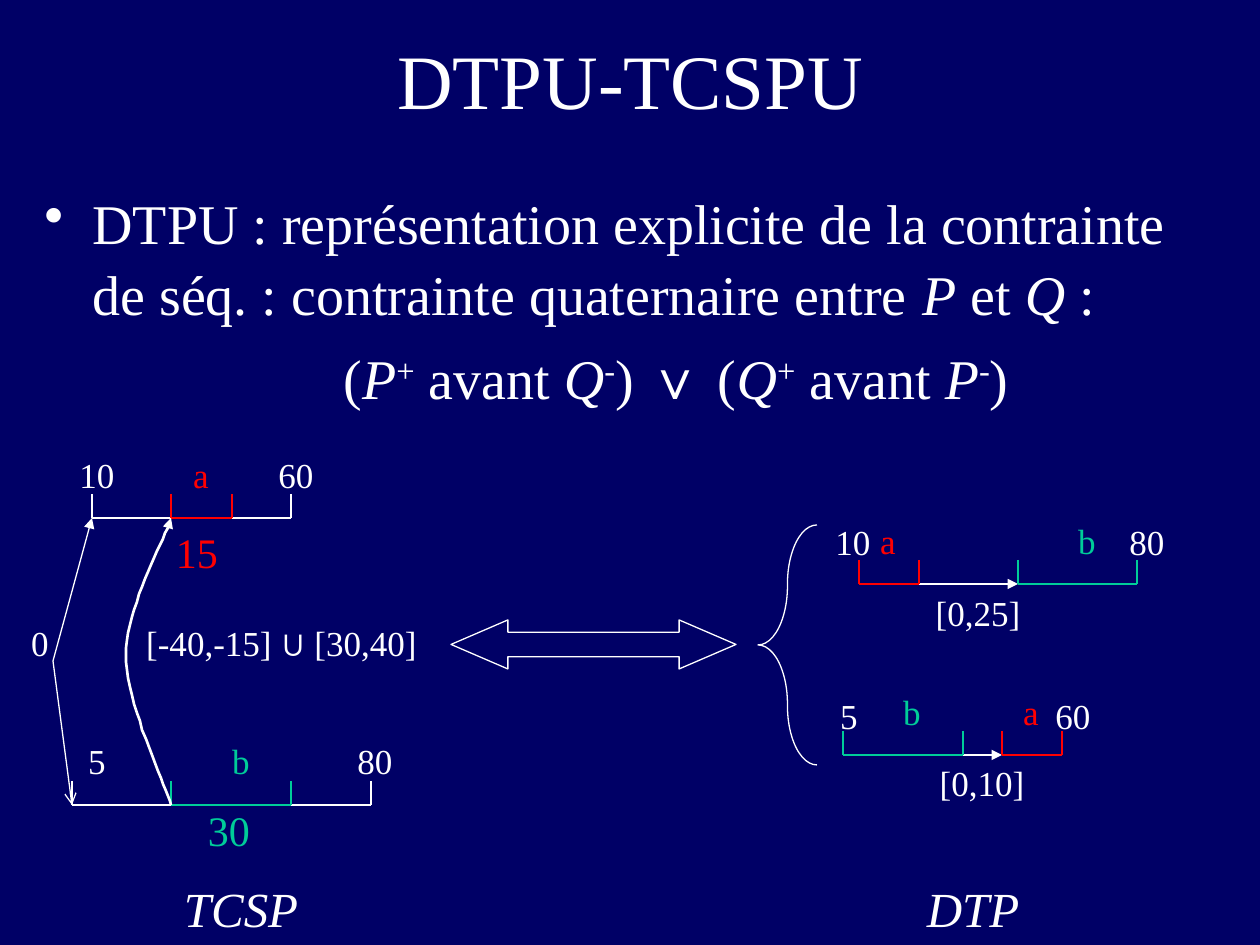
from lxml import etree
from pptx import Presentation
from pptx import util as u
from pptx.dml.color import RGBColor
from pptx.enum import shapes, text
from pptx.oxml.ns import qn

EMU_PER_PX = 914400 / 126
FONT = "Times New Roman"
COLOURS = {"navy": "000066", "white": "FFFFFF", "red": "FF0000", "green": "00CC99"}
TICK = 24
LABEL_HEIGHT = 73


def px(*lengths):
    return [u.Emu(round(length * EMU_PER_PX)) for length in lengths]


def rgb(name):
    return RGBColor.from_string(COLOURS[name])


def style_font(font, size, colour="white", italic=None):
    font.name, font.size, font.italic = FONT, u.Pt(size), italic
    font.color.rgb = rgb(colour)


def text_frame(slide, left, top, width, height):
    frame = slide.shapes.add_textbox(*px(left, top, width, height)).text_frame
    frame.word_wrap = True
    return frame


def centred(slide, words, box, size, colour="white", italic=None):
    """Add one centred paragraph; words is a list of (text, font name) runs."""
    frame = text_frame(slide, *box)
    paragraph = frame.paragraphs[0]
    paragraph.alignment = text.PP_ALIGN.CENTER
    style_font(paragraph.font, size, colour, italic)
    for wording, font_name in words:
        run = paragraph.add_run()
        run.text = wording
        if font_name != FONT:
            run.font.name = font_name
    return frame


def label(slide, wording, middle, top, colour="white", size=20, width=90, italic=None):
    box = (middle - width / 2, top, width, LABEL_HEIGHT)
    centred(slide, [(wording, FONT)], box, size, colour, italic)


def style_line(line, colour="white", width=0.75, arrowhead=None):
    line.color.rgb = rgb(colour)
    line.width = u.Pt(width)
    if arrowhead:
        ln = line._get_or_add_ln()
        etree.SubElement(ln, qn("a:tailEnd"), type=arrowhead)


def add_line(slide, start, end, colour="white", width=0.75, arrowhead=None):
    connector = slide.shapes.add_connector(
        shapes.MSO_CONNECTOR.STRAIGHT, *px(*start, *end))
    style_line(connector.line, colour, width, arrowhead)
    etree.SubElement(connector._element.spPr, qn("a:effectLst"))


def outline(slide, kind, box, adjustments):
    shape = slide.shapes.add_shape(kind, *px(*box))
    for index, value in enumerate(adjustments):
        shape.adjustments[index] = value
    shape.shadow.inherit = False
    shape.fill.background()
    style_line(shape.line)


def timeline(slide, baseline, stops, spans, ticks, arrow=False):
    """Draw three spans between four ticks; arrow turns the middle span into one."""
    for index, colour in enumerate(spans):
        start, end = (stops[index], baseline), (stops[index + 1], baseline)
        if arrow and index == 1:
            add_line(slide, start, end, colour, 1.5, "triangle")
        else:
            add_line(slide, start, end, colour)
    for stop, colour in zip(stops, ticks):
        add_line(slide, (stop, baseline - TICK), (stop, baseline), colour)


def bezier(p0, p1, p2, p3, steps=20):
    for t in (step / steps for step in range(1, steps + 1)):
        s = 1 - t
        yield tuple(s**3 * a + 3 * s * s * t * b + 3 * s * t * t * c + t**3 * d
                    for a, b, c, d in zip(p0, p1, p2, p3))


def constraint_curve(slide, start, middle, end):
    lower = bezier(start, (start[0] - 8, start[1] - 25), (middle[0], middle[1] + 48), middle)
    upper = bezier(middle, (middle[0], middle[1] - 48), (end[0] - 9, end[1] + 29), end)
    builder = slide.shapes.build_freeform(*start, scale=EMU_PER_PX)
    builder.add_line_segments([*lower, *upper], close=False)
    curve = builder.convert_to_shape()
    curve.shadow.inherit = False
    curve.fill.background()
    style_line(curve.line, width=1.5, arrowhead="triangle")


def title(slide, box):
    frame = centred(slide, [("DTPU-TCSPU", FONT)], box, 44)
    frame.vertical_anchor = text.MSO_ANCHOR.MIDDLE


def add_runs(paragraph, pieces):
    """Add (text, style) runs: i is italic, + is superscript, v is Arial."""
    for wording, style in pieces:
        run = paragraph.add_run()
        run.text = wording
        if style == "i":
            run.font.italic = True
        elif style == "+":
            run._r.get_or_add_rPr().set("baseline", "30000")
        elif style == "v":
            run.font.name = "Arial"


def definition(slide, box):
    frame = text_frame(slide, *box)
    bullet, formula = frame.paragraphs[0], frame.add_paragraph()
    indent, formula_indent = px(48, 299)

    properties = bullet._p.get_or_add_pPr()
    properties.set("marL", str(indent))
    properties.set("indent", str(-indent))
    etree.SubElement(properties, qn("a:buChar"), char="•")
    formula._p.get_or_add_pPr().set("marL", str(formula_indent))
    formula.space_before = u.Pt(8)

    for paragraph in (bullet, formula):
        paragraph.line_spacing = 1.05
        style_font(paragraph.font, 32)
    add_runs(bullet, [
        ("DTPU : représentation explicite de la contrainte de séq. : "
         "contrainte quaternaire entre ", ""),
        ("P", "i"), (" et ", ""), ("Q ", "i"), (":", "")])
    add_runs(formula, [
        ("(", ""), ("P", "i"), ("+", "+"), (" avant ", ""), ("Q", "i"), ("-", "+"),
        (") ", ""), ("∨", "v"), (" (", ""),
        ("Q", "i"), ("+", "+"), (" avant ", ""), ("P", "i"), ("-", "+"), (")", "")])


def tcsp(slide, left, top):
    row_a, row_b, origin = top + 71, top + 358, (left + 53, top + 214)
    stops_a = [left + x for x in (92, 171, 232, 291)]
    stops_b = [left + x for x in (72, 171, 291, 371)]
    for row, stops, colour in ((row_a, stops_a, "red"), (row_b, stops_b, "green")):
        timeline(slide, row, stops, ("white", colour, "white"),
                 ("white", colour, colour, "white"))
    add_line(slide, origin, (stops_a[0], row_a), arrowhead="triangle")
    add_line(slide, origin, (stops_b[0], row_b), arrowhead="arrow")
    constraint_curve(slide, (stops_b[1], row_b), (left + 126, top + 208),
                     (stops_a[1], row_a))
    for wording, x, y, colour, size in (
            ("10", 97, 0, "white", 20), ("a", 201, 0, "red", 20),
            ("60", 296, 0, "white", 20), ("15", 197, 73, "red", 24),
            ("0", 40, 168, "white", 20), ("5", 97, 286, "white", 20),
            ("b", 241, 286, "green", 20), ("80", 375, 286, "white", 20),
            ("30", 229, 351, "green", 24)):
        label(slide, wording, left + x, top + y, colour, size)
    centred(slide, [("[-40,-15] ", FONT), ("∪", "Arial"), (" [30,40]", FONT)],
            (left + 129, top + 168, 305, LABEL_HEIGHT), 20)
    label(slide, "TCSP", left + 241, top + 425, size=28, width=148, italic=True)


def dtp(slide, left, top):
    outline(slide, shapes.MSO_SHAPE.LEFT_BRACE, (left, top + 12, 59, 240), (1, 0.5))
    for row, stops, first, last in (
            (71, (101, 161, 260, 379), "red", "green"),
            (242, (85, 205, 244, 304), "green", "red")):
        timeline(slide, top + row, [left + x for x in stops], (first, "white", last),
                 (first, first, last, last), arrow=True)
    for wording, x, y, colour in (
            ("10", 95, 1, "white"), ("a", 130, 0, "red"), ("b", 329, 0, "green"),
            ("80", 389, 1, "white"), ("5", 91, 175, "white"), ("b", 154, 171, "green"),
            ("a", 273, 171, "red"), ("60", 315, 175, "white")):
        label(slide, wording, left + x, top + y, colour)
    for wording, x, y in (("[0,25]", 220, 72), ("[0,10]", 224, 242)):
        label(slide, wording, left + x, top + y, width=120)
    label(slide, "DTP", left + 215, top + 359, size=28, width=148, italic=True)


def main():
    presentation = Presentation()
    presentation.slide_width, presentation.slide_height = px(1260, 945)
    slide = presentation.slides.add_slide(presentation.slide_layouts[6])
    slide.background.fill.solid()
    slide.background.fill.fore_color.rgb = rgb("navy")

    title(slide, (95, 0, 1071, 158))
    definition(slide, (32, 179, 1176, 242))
    tcsp(slide, 0, 447)
    outline(slide, shapes.MSO_SHAPE.LEFT_RIGHT_ARROW, (451, 620, 285, 49), (0.5, 1.16))
    dtp(slide, 758, 513)
    presentation.save("out.pptx")


if __name__ == "__main__":
    main()
